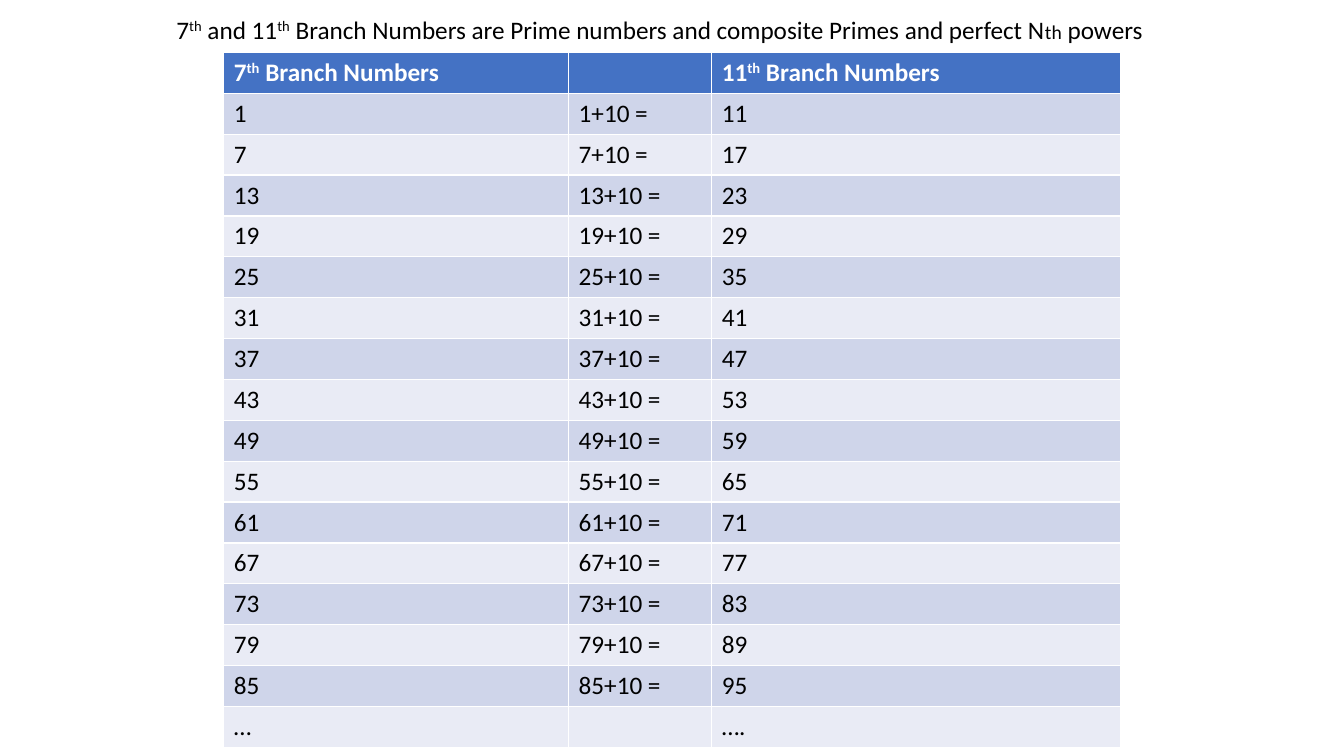
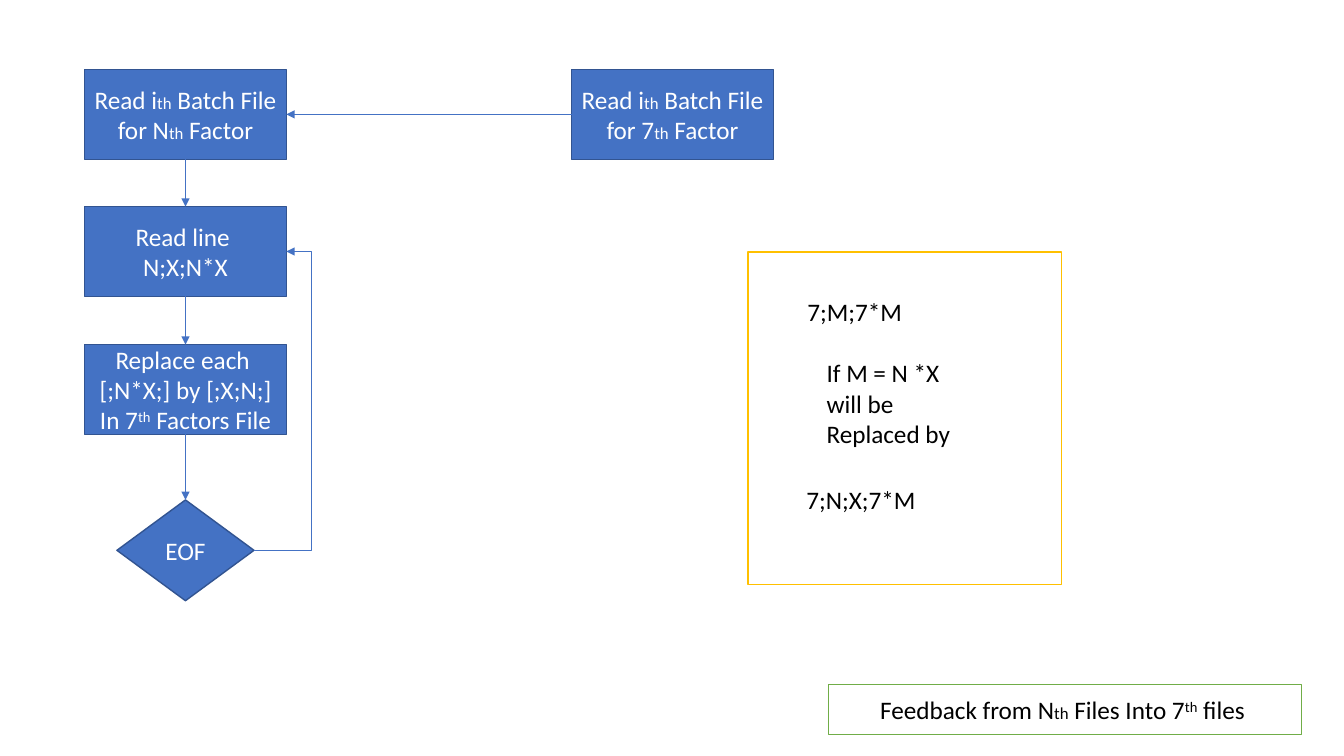
from lxml.etree import SubElement
from pptx import Presentation
from pptx.dml.color import RGBColor
from pptx.enum.shapes import MSO_CONNECTOR as CONNECTOR, MSO_SHAPE as SHAPE
from pptx.enum.text import MSO_ANCHOR as ANCHOR, MSO_AUTO_SIZE as AUTO_SIZE, PP_ALIGN as ALIGN
from pptx.oxml.ns import qn
from pptx.util import Inches, Pt

BLUE, DARK_BLUE = "4472C4", "325491"
GREEN, YELLOW = "70AD47", "FFC000"
WHITE, BLACK = "FFFFFF", "000000"
BANDS = ["CFD5EA", "E9EBF5"]
TITLE_ONLY, BLANK = 5, 6
TOP, LEFT, BOTTOM, RIGHT = range(4)

color = RGBColor.from_string


def write(frame, text, ink=BLACK, align=ALIGN.LEFT, small=12, bold=False):
    """Write lines of runs split by "|"; "^" marks a superscript, "~" a smaller run."""
    frame.word_wrap = True
    for number, line in enumerate(text.split("\n")):
        paragraph = frame.add_paragraph() if number else frame.paragraphs[0]
        paragraph.alignment = align
        font = paragraph.font
        font.name, font.size, font.bold = "Calibri", Pt(18), bold
        font.color.rgb = color(ink)
        for piece in line.split("|"):
            run = paragraph.add_run()
            run.text = piece.lstrip("^~")
            if piece.startswith("^"):
                run.font._element.set("baseline", "30000")
            elif piece.startswith("~"):
                run.font.size = Pt(small)


def add_box(slide, kind, place, text="", fill=WHITE, line=DARK_BLUE, ink=BLACK):
    box = slide.shapes.add_shape(kind, *map(Inches, place))
    box.shadow.inherit = False
    box.fill.solid()
    box.fill.fore_color.rgb = color(fill)
    box.line.color.rgb = color(line)
    box.line.width = Pt(1)
    if text:
        box.text_frame.vertical_anchor = ANCHOR.MIDDLE
        write(box.text_frame, text, ink, ALIGN.CENTER)
    return box


presentation = Presentation()
presentation.slide_width, presentation.slide_height = Inches(13.33), Inches(7.5)

# Slide 1: branch numbers
slide = presentation.slides.add_slide(presentation.slide_layouts[TITLE_ONLY])
title = slide.shapes.title
title.left, title.top, title.width, title.height = map(Inches, (1.65, 0.09, 10.74, 0.4))
title.text_frame.auto_size = AUTO_SIZE.NONE
title.text_frame.vertical_anchor = ANCHOR.TOP
write(title.text_frame,
      "7|^th| and 11|^th| Branch Numbers are Prime numbers and composite Primes"
      " and perfect N|~th| powers", small=14)

rows = [("7|^th| Branch Numbers", "", "11|^th| Branch Numbers")]
rows += [(f"{n}", f"{n}+10 =", f"{n + 10}") for n in range(1, 86, 6)]
rows += [("…", "", "….")]
table = slide.shapes.add_table(len(rows), 3, *map(Inches, (2.22, 0.52, 8.89, 6.89))).table
for column, width in zip(table.columns, (3.42, 1.42, 4.05)):
    column.width = Inches(width)
for row_number, row in enumerate(rows):
    header = row_number == 0
    for column_number, text in enumerate(row):
        cell = table.cell(row_number, column_number)
        cell.fill.solid()
        cell.fill.fore_color.rgb = color(BLUE if header else BANDS[(row_number - 1) % 2])
        if text:
            write(cell.text_frame, text, WHITE if header else BLACK, bold=header)

# Slide 2: feedback flowchart
slide = presentation.slides.add_slide(presentation.slide_layouts[BLANK])
steps = [
    (0.84, 0.69, "Read i|~th| Batch File for N|~th| Factor"),
    (5.67, 0.69, "Read i|~th| Batch File for 7|~th| Factor"),
    (0.84, 2.05, "Read line \nN;X;N*X"),
    (0.84, 3.42, "Replace each \n[;N*X;] by [;X;N;]\nIn 7|^th| Factors File"),
]
read_nth, read_7th, read_line, replace = [
    add_box(slide, SHAPE.RECTANGLE, (left, top, 2, 0.89), text, BLUE, ink=WHITE)
    for left, top, text in steps]
end_of_file = add_box(slide, SHAPE.DIAMOND, (1.16, 4.96, 1.36, 1), "EOF", BLUE, ink=WHITE)
add_box(slide, SHAPE.RECTANGLE, (8.22, 6.79, 4.69, 0.5),
        "Feedback from N|~th| Files Into 7|^th| files ", line=GREEN)

arrows = [
    (read_nth, BOTTOM, read_line, TOP, CONNECTOR.STRAIGHT),
    (read_line, BOTTOM, replace, TOP, CONNECTOR.STRAIGHT),
    (replace, BOTTOM, end_of_file, TOP, CONNECTOR.STRAIGHT),
    (end_of_file, RIGHT, read_line, RIGHT, CONNECTOR.ELBOW),
    (read_7th, LEFT, read_nth, RIGHT, CONNECTOR.STRAIGHT),
]
for start, start_side, end, end_side, kind in arrows:
    arrow = slide.shapes.add_connector(kind, 0, 0, 0, 0)
    arrow.begin_connect(start, start_side)
    arrow.end_connect(end, end_side)
    arrow.line.color.rgb = color(BLUE)
    arrow.line.width = Pt(0.5)
    properties = arrow._element.spPr
    SubElement(properties.find(qn("a:ln")), qn("a:tailEnd"), type="triangle")
    SubElement(properties, qn("a:effectLst"))
    if kind == CONNECTOR.ELBOW:
        # Push the bend out to the right of both ends
        guides = properties.find(qn("a:prstGeom")).get_or_add_avLst()
        SubElement(guides, qn("a:gd"), name="adj1", fmla="val 177400")

add_box(slide, SHAPE.RECTANGLE, (7.42, 2.5, 3.11, 3.3), line=YELLOW)
notes = [
    (7.91, 2.89, 2.14, 0.4, "7;M;7*M"),
    (8.1, 3.5, 1.63, 1.01, "If M = N *X will be Replaced by"),
    (7.9, 4.76, 2.14, 0.4, "7;N;X;7*M"),
]
for *place, text in notes:
    write(slide.shapes.add_textbox(*map(Inches, place)).text_frame, text)

presentation.save("out.pptx")
